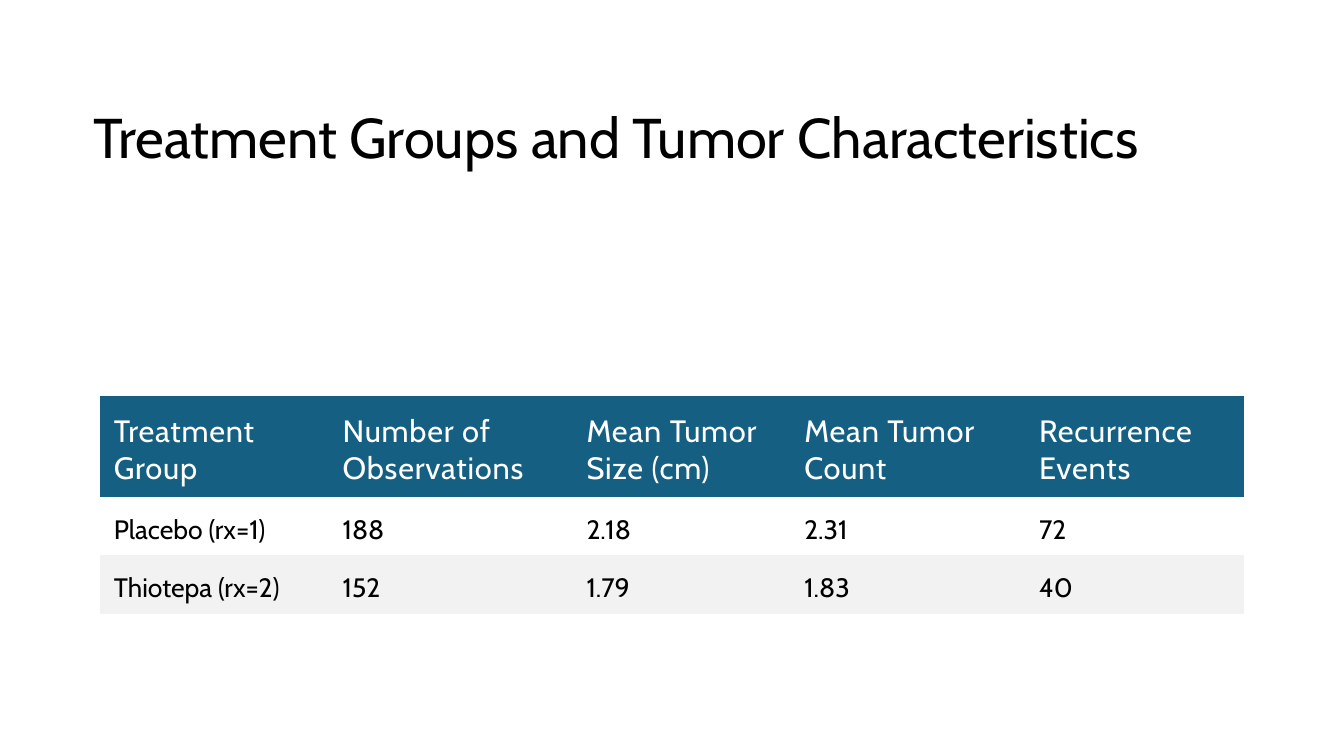
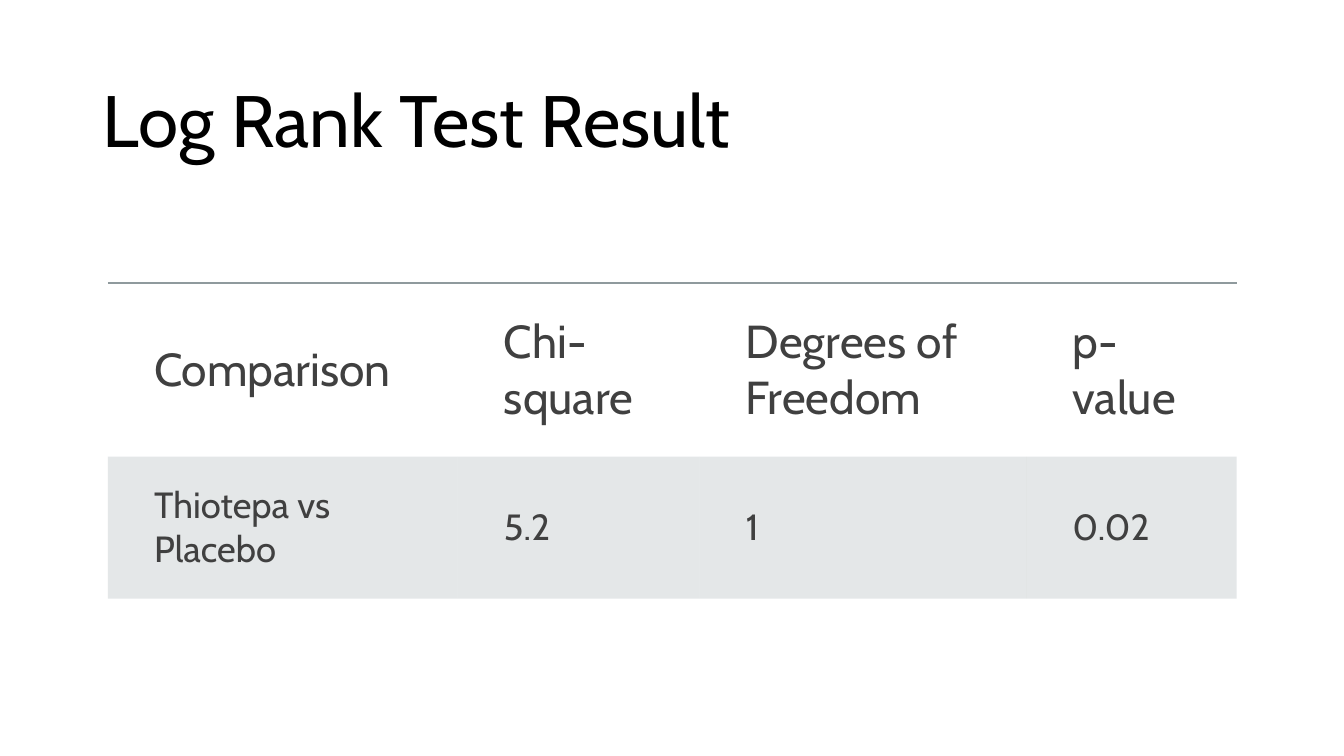
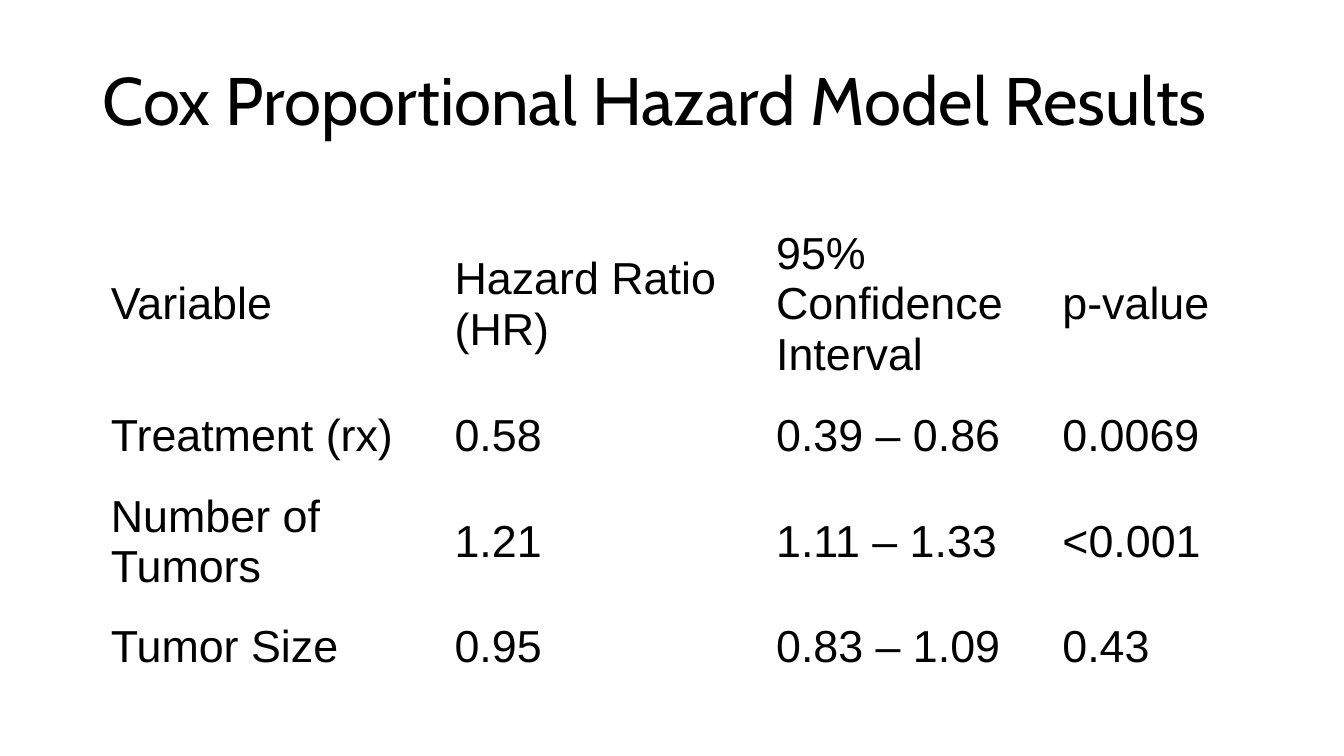
from dataclasses import dataclass

import pptx
import pptx.dml.color
import pptx.enum.shapes
import pptx.enum.text
import pptx.oxml
import pptx.oxml.ns
import pptx.util

Inches = pptx.util.Inches
Pt = pptx.util.Pt
qn = pptx.oxml.ns.qn
MIDDLE = pptx.enum.text.MSO_ANCHOR.MIDDLE

COLORS = {
    "black": "000000",
    "white": "FFFFFF",
    "teal": "156082",
    "pale": "F2F2F2",
    "dark": "404040",
    "mist": "B4BCBE",
    "rule": "8F9A9D",
}
NO_GRID = "{2D5ABB26-0587-4C30-8999-92F81FD0307C}"
MAIN = "Cabin"
WIDTH = Inches(40 / 3)


@dataclass(frozen=True)
class Look:
    size: float
    pads: tuple[float, float, float, float]
    color: str = "black"
    font: str = MAIN
    fill: str | None = None
    alpha: int = 100
    space: int = 0
    rule: str | None = None


@dataclass(frozen=True)
class Row:
    height: float
    look: Look
    texts: tuple[str, ...]


@dataclass(frozen=True)
class Page:
    title: str
    size: float
    box: tuple[float, float, float, float]
    start: tuple[float, float]
    widths: tuple[float, ...]
    rows: tuple[Row, ...]
    band: float = 0


def assign(target: object, values: dict) -> None:
    for name, value in values.items():
        setattr(target, name, value)


def paint(fill, color: str) -> None:
    fill.solid()
    fill.fore_color.rgb = pptx.dml.color.RGBColor.from_string(COLORS[color])


def style(font, name: str, size: float, color: str) -> None:
    assign(font, {"name": name, "size": Pt(size), "bold": False})
    paint(font.fill, color)


def set_alpha(parent, share: int) -> None:
    for color in parent.iter(qn("a:srgbClr")):
        color.append(pptx.oxml.parse_xml(
            f'<a:alpha {pptx.oxml.ns.nsdecls("a")} val="{share * 1000}"/>'))


def draw_rule(props, color: str) -> None:
    line = pptx.oxml.parse_xml(
        f'<a:lnT {pptx.oxml.ns.nsdecls("a")} w="{Pt(1.5)}"><a:solidFill>'
        f'<a:srgbClr val="{COLORS[color]}"/></a:solidFill></a:lnT>')
    set_alpha(line, 60)
    props.insert(0, line)


def fill_cell(cell, text: str, look: Look) -> None:
    sides = ("margin_left", "margin_top", "margin_right", "margin_bottom")
    assign(cell, {"text": text, "vertical_anchor": MIDDLE}
           | {side: Inches(pad) for side, pad in zip(sides, look.pads)})
    run = cell.text_frame.paragraphs[0].runs[0]
    style(run.font, look.font, look.size, look.color)
    if look.space:
        run.font._element.set("spc", str(look.space))
    props = cell._tc.get_or_add_tcPr()
    if look.fill:
        paint(cell.fill, look.fill)
        if look.alpha < 100:
            set_alpha(props, look.alpha)
    else:
        cell.fill.background()
    if look.rule:
        draw_rule(props, look.rule)


def draw_band(slide, height: float) -> None:
    band = slide.shapes.add_shape(
        pptx.enum.shapes.MSO_SHAPE.RECTANGLE, 0, 0, WIDTH, Inches(height))
    band.shadow.inherit = False
    paint(band.fill, "white")
    band.line.fill.background()
    slide.shapes.title.element.addprevious(band.element)


def draw_title(slide, page: Page) -> None:
    title = slide.shapes.title
    sides = ("left", "top", "width", "height")
    assign(title, dict(zip(sides, map(Inches, page.box))))
    frame = title.text_frame
    assign(frame, {"text": page.title, "vertical_anchor": MIDDLE, "word_wrap": True,
                   "auto_size": pptx.enum.text.MSO_AUTO_SIZE.NONE})
    line = frame.paragraphs[0]
    assign(line, {"alignment": pptx.enum.text.PP_ALIGN.LEFT, "line_spacing": 0.9})
    style(line.runs[0].font, MAIN, page.size, "black")


def draw_table(slide, page: Page) -> None:
    spans = (sum(page.widths), sum(row.height for row in page.rows))
    frame = slide.shapes.add_table(
        len(page.rows), len(page.widths), *map(Inches, page.start + spans))
    for mark in frame.element.iter(qn("a:tableStyleId")):
        mark.text = NO_GRID
    table = frame.table
    assign(table, {"first_row": False, "horz_banding": False})
    for column, width in zip(table.columns, page.widths):
        column.width = Inches(width)
    for line, row in zip(table.rows, page.rows):
        line.height = Inches(row.height)
        for cell, text in zip(line.cells, row.texts):
            fill_cell(cell, text, row.look)


SNUG = (0.14, 0.14, 0.14, 0.07)
BANNER = Look(22, SNUG, "white", fill="teal", space=60)
PLAIN = Look(19, SNUG)
BAND = Look(19, SNUG, fill="pale")
RULED = Look(33, (0.46, 0.28, 0.28, 0.28), "dark", rule="rule")
TINT = Look(26, (0.46, 0.24, 0.24, 0.24), "dark", fill="mist", alpha=35)
BARE = Look(32, (0.18, 0.09, 0.18, 0.09), font="Arial")

PAGES = (
    Page("Treatment Groups and Tumor Characteristics", 40,
         (0.83, 0.51, 10.9, 1.77), (0.99, 3.93), (2.27, 2.42, 2.16, 2.33, 2.17), (
             Row(1, BANNER, ("Treatment Group", "Number of Observations",
                             "Mean Tumor Size (cm)", "Mean Tumor Count",
                             "Recurrence Events")),
             Row(0.58, PLAIN, ("Placebo (rx=1)", "188", "2.18", "2.31", "72")),
             Row(0.58, BAND, ("Thiotepa (rx=2)", "152", "1.79", "1.83", "40")),
         ), band=2.78),
    Page("Log Rank Test Result", 52,
         (0.92, 0.61, 11.5, 1.24), (1.07, 2.81), (3.47, 2.4, 3.24, 2.09), (
             Row(1.72, RULED, ("Comparison", "Chi-square", "Degrees of Freedom", "p-value")),
             Row(1.41, TINT, ("Thiotepa vs Placebo", "5.2", "1", "0.02")),
         )),
    Page("Cox Proportional Hazard Model Results", 48,
         (0.92, 0.2, 11.5, 1.65), (0.92, 2.1), (3.41, 3.19, 2.84, 2.06), (
             Row(1.84, BARE, ("Variable", "Hazard Ratio (HR)",
                              "95% Confidence Interval", "p-value")),
             Row(0.78, BARE, ("Treatment (rx)", "0.58", "0.39 – 0.86", "0.0069")),
             Row(1.31, BARE, ("Number of Tumors", "1.21", "1.11 – 1.33", "<0.001")),
             Row(0.78, BARE, ("Tumor Size", "0.95", "0.83 – 1.09", "0.43")),
         )),
)


def main() -> None:
    deck = pptx.Presentation()
    assign(deck, {"slide_width": WIDTH, "slide_height": Inches(7.5)})
    for page in PAGES:
        slide = deck.slides.add_slide(deck.slide_layouts[5])
        if page.band:
            draw_band(slide, page.band)
        draw_title(slide, page)
        draw_table(slide, page)
    deck.save("out.pptx")


if __name__ == "__main__":
    main()
